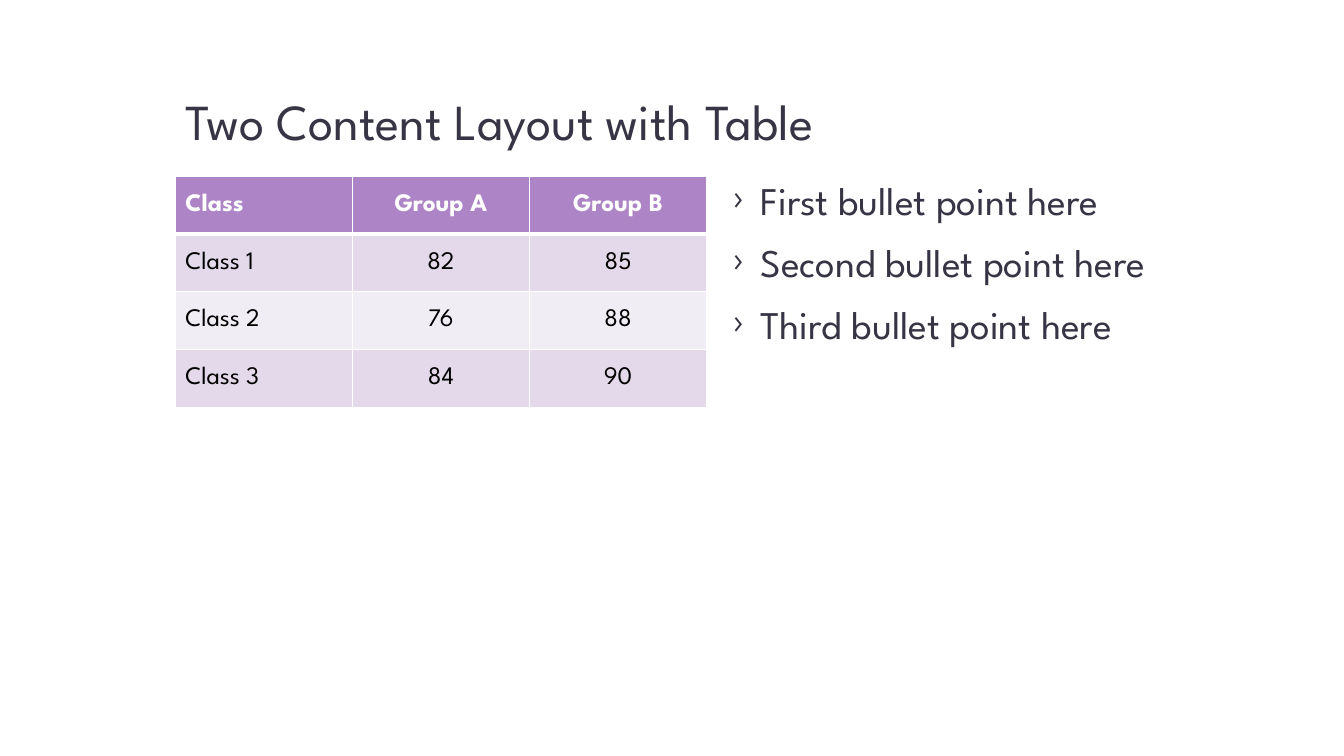
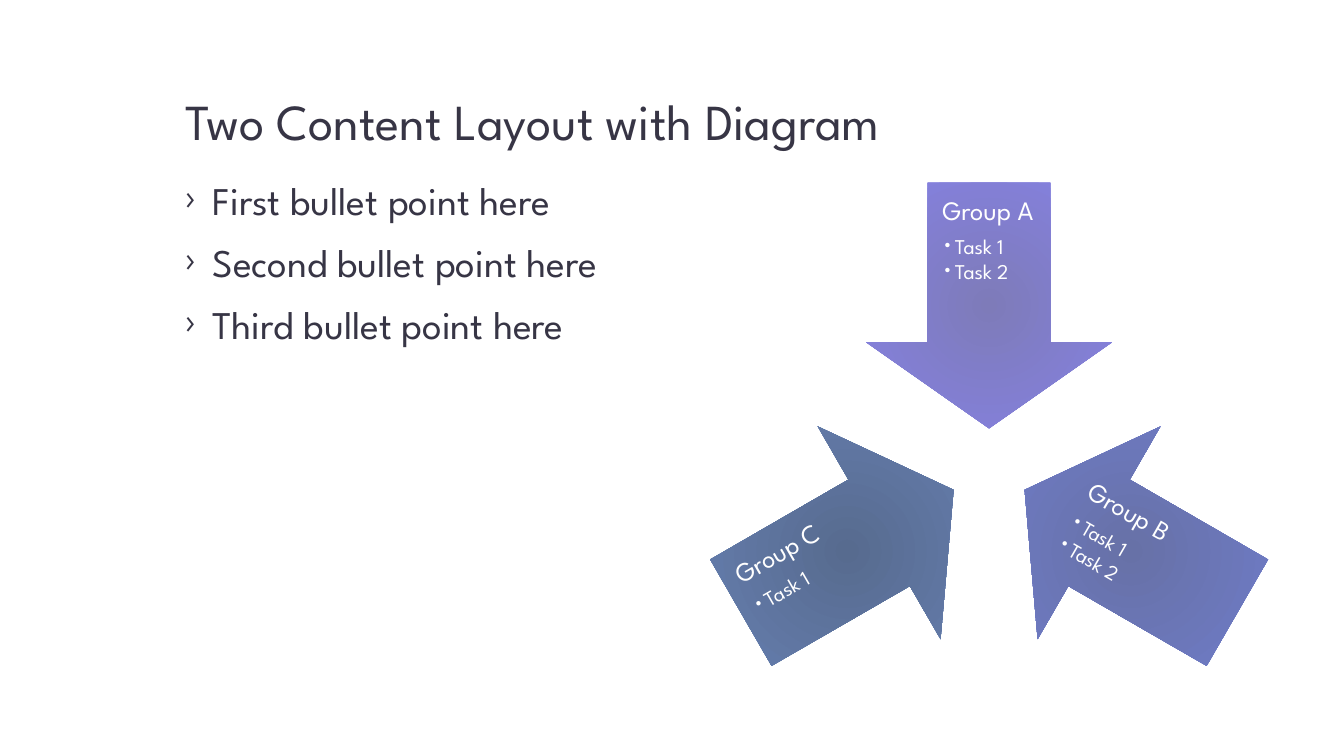
from dataclasses import dataclass
from math import cos, radians, sin

from lxml.etree import SubElement
from pptx import Presentation
from pptx.dml.color import RGBColor
from pptx.enum.shapes import MSO_SHAPE
from pptx.enum.text import MSO_ANCHOR, PP_ALIGN
from pptx.oxml.ns import qn
from pptx.util import Pt

PX = 9525  # EMU per px, 96 px to the inch


@dataclass(frozen=True)
class Style:
    size: int
    color: str
    bold: bool = False
    line_spacing: float = 1.0
    before: int = 0
    after: int = 0
    bullet: str = ""
    indent: int = 0
    level: int = 0
    align: PP_ALIGN = PP_ALIGN.LEFT


class Theme:
    font = "League Spartan"
    ink, white, black = "373545", "FFFFFF", "000000"
    header_fill = "AD84C6"
    band_fills = ("E3D9EA", "F1EDF5")
    title = Style(36, ink, line_spacing=0.9)
    point = Style(28, ink, line_spacing=0.9, before=14, bullet="›", indent=26)
    group = Style(19, white, line_spacing=0.9, after=7)
    task = Style(15, white, line_spacing=0.9, after=2, bullet="•", indent=12, level=1)


def style_paragraph(paragraph, style, is_first=True):
    paragraph.level = style.level
    if style.bullet:
        properties = paragraph._p.get_or_add_pPr()
        properties.set("marL", str(style.indent * PX))
        properties.set("indent", str(-style.indent * PX))
        SubElement(properties, qn("a:buFont"), typeface=Theme.font)
        SubElement(properties, qn("a:buChar"), char=style.bullet)
    paragraph.alignment = style.align
    paragraph.line_spacing = style.line_spacing
    paragraph.space_before = Pt(0 if is_first else style.before)
    paragraph.space_after = Pt(style.after)
    paragraph.font.name = Theme.font
    paragraph.font.size = Pt(style.size)
    paragraph.font.bold = style.bold
    paragraph.font.color.rgb = RGBColor.from_string(style.color)


def add_text(shapes, box, lines, anchor=MSO_ANCHOR.TOP, inset=None):
    """Add a text box of (text, style) lines; box is left, top, width, height in px."""
    text_box = shapes.add_textbox(*(round(length * PX) for length in box))
    frame = text_box.text_frame
    frame.word_wrap = True
    frame.vertical_anchor = anchor
    if inset is not None:
        frame.margin_left = frame.margin_right = inset * PX
        frame.margin_top = frame.margin_bottom = inset * PX
    for number, (text, style) in enumerate(lines):
        paragraph = frame.paragraphs[0] if number == 0 else frame.add_paragraph()
        paragraph.text = text
        style_paragraph(paragraph, style, is_first=number == 0)
    return text_box


LEFT, RIGHT, TOP = 167, 689, 168
COLUMN_WIDTH, COLUMN_HEIGHT = 506, 480
TITLE_BOX = (LEFT, 18, 1027, 131)
POINTS = ["First bullet point here", "Second bullet point here", "Third bullet point here"]

presentation = Presentation()
presentation.slide_width, presentation.slide_height = 1280 * PX, 720 * PX

# Title and bullet points of both slides
slides = []
for title, points_left in [
    ("Two Content Layout with Table", RIGHT),
    ("Two Content Layout with Diagram", LEFT),
]:
    slide = presentation.slides.add_slide(presentation.slide_layouts[6])
    add_text(slide.shapes, TITLE_BOX, [(title, Theme.title)], MSO_ANCHOR.BOTTOM)
    add_text(slide.shapes, (points_left, TOP, COLUMN_WIDTH, COLUMN_HEIGHT),
             [(point, Theme.point) for point in POINTS])
    slides.append(slide)
table_slide, arrows_slide = slides

# Table of scores
SCORES = [
    ("Class", "Group A", "Group B"),
    ("Class 1", "82", "85"),
    ("Class 2", "76", "88"),
    ("Class 3", "84", "90"),
]
ROW_HEIGHT = 55
table = table_slide.shapes.add_table(
    len(SCORES), len(SCORES[0]), LEFT * PX, TOP * PX,
    COLUMN_WIDTH * PX, ROW_HEIGHT * len(SCORES) * PX).table
for row, values in enumerate(SCORES):
    is_header = row == 0
    fill_color = Theme.header_fill if is_header else Theme.band_fills[(row - 1) % 2]
    for column, value in enumerate(values):
        cell = table.cell(row, column)
        cell.text = value
        cell.vertical_anchor = MSO_ANCHOR.MIDDLE
        style_paragraph(cell.text_frame.paragraphs[0], Style(
            18, Theme.white if is_header else Theme.black, bold=is_header,
            align=PP_ALIGN.CENTER if column else PP_ALIGN.LEFT))
        # The rule under the header is thicker and belongs to both rows it touches
        widths = {"lnL": 1, "lnR": 1, "lnT": 3 if row == 1 else 1, "lnB": 3 if is_header else 1}
        for edge, width in widths.items():
            border = SubElement(cell._tc.get_or_add_tcPr(), qn(f"a:{edge}"), w=str(Pt(width)))
            SubElement(SubElement(border, qn("a:solidFill")), qn("a:srgbClr"), val=Theme.white)
        cell.fill.solid()
        cell.fill.fore_color.rgb = RGBColor.from_string(fill_color)

# Three arrows pointing at one centre
CENTER_X, CENTER_Y = 942, 447
ARROW_SIZE, ARROW_RADIUS = 234, 156
LABEL_RADIUS, LABEL_SHORT, LABEL_LONG = 176, 117, 194
GROUPS = [
    # name, tasks, inner colour, outer colour, label rotation
    ("Group A", ["Task 1", "Task 2"], "7E7BB9", "8581E3", 0),
    ("Group B", ["Task 1", "Task 2"], "6771A7", "717FD2", 30),
    ("Group C", ["Task 1"], "576B8F", "6A84BA", 330),
]
diagram = arrows_slide.shapes.add_group_shape()
for number, (name, tasks, inner, outer, label_rotation) in enumerate(GROUPS):
    angle = number * 360 / len(GROUPS)
    across, down = sin(radians(angle)), -cos(radians(angle))

    arrow = diagram.shapes.add_shape(
        MSO_SHAPE.DOWN_ARROW,
        round((CENTER_X + ARROW_RADIUS * across - ARROW_SIZE / 2) * PX),
        round((CENTER_Y + ARROW_RADIUS * down - ARROW_SIZE / 2) * PX),
        ARROW_SIZE * PX, ARROW_SIZE * PX)
    arrow.rotation = angle
    arrow.adjustments[0], arrow.adjustments[1] = 0.5, 0.35
    arrow.shadow.inherit = False
    arrow.line.fill.background()
    arrow.fill.gradient()
    for stop, color in zip(arrow.fill.gradient_stops, (inner, outer)):
        stop.color.rgb = RGBColor.from_string(color)
    arrow.fill.gradient_stops[0].position = 0
    arrow.fill.gradient_stops[1].position = 1
    gradient = arrow._element.spPr.find(qn("a:gradFill"))
    gradient.remove(gradient.find(qn("a:lin")))
    circle = SubElement(gradient, qn("a:path"), path="circle")
    SubElement(circle, qn("a:fillToRect"), l="50000", t="50000", r="50000", b="50000")

    width, height = (LABEL_LONG, LABEL_SHORT) if label_rotation else (LABEL_SHORT, LABEL_LONG)
    label = add_text(
        diagram.shapes,
        (CENTER_X + LABEL_RADIUS * across - width / 2,
         CENTER_Y + LABEL_RADIUS * down - height / 2, width, height),
        [(name, Theme.group)] + [(task, Theme.task) for task in tasks], inset=14)
    label.rotation = label_rotation

presentation.save("out.pptx")
